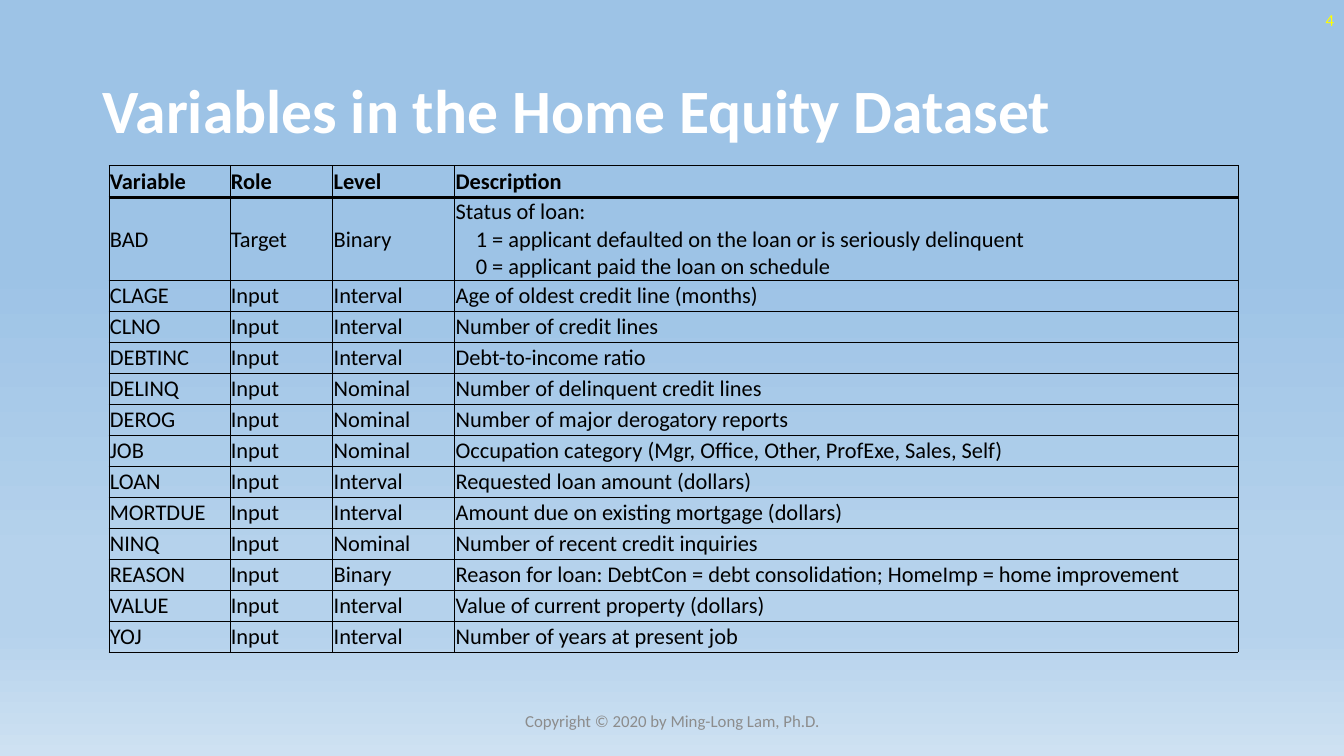
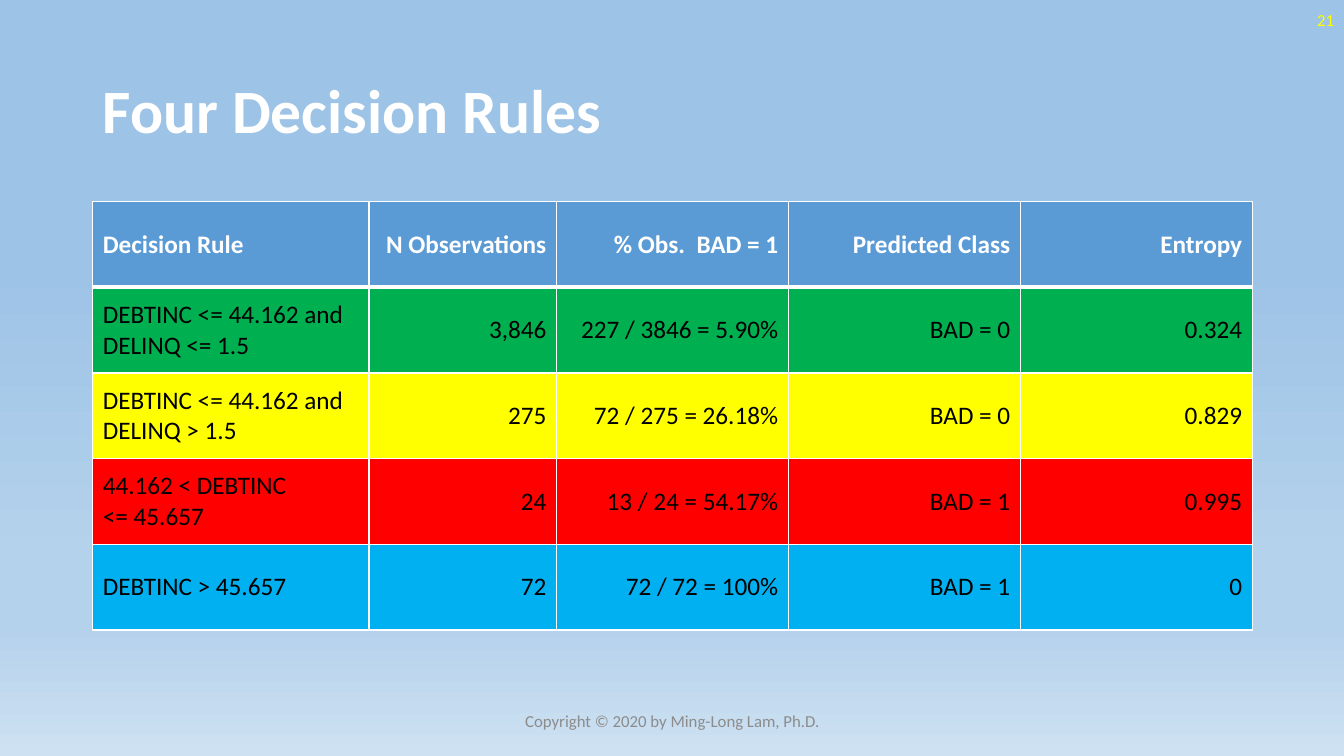
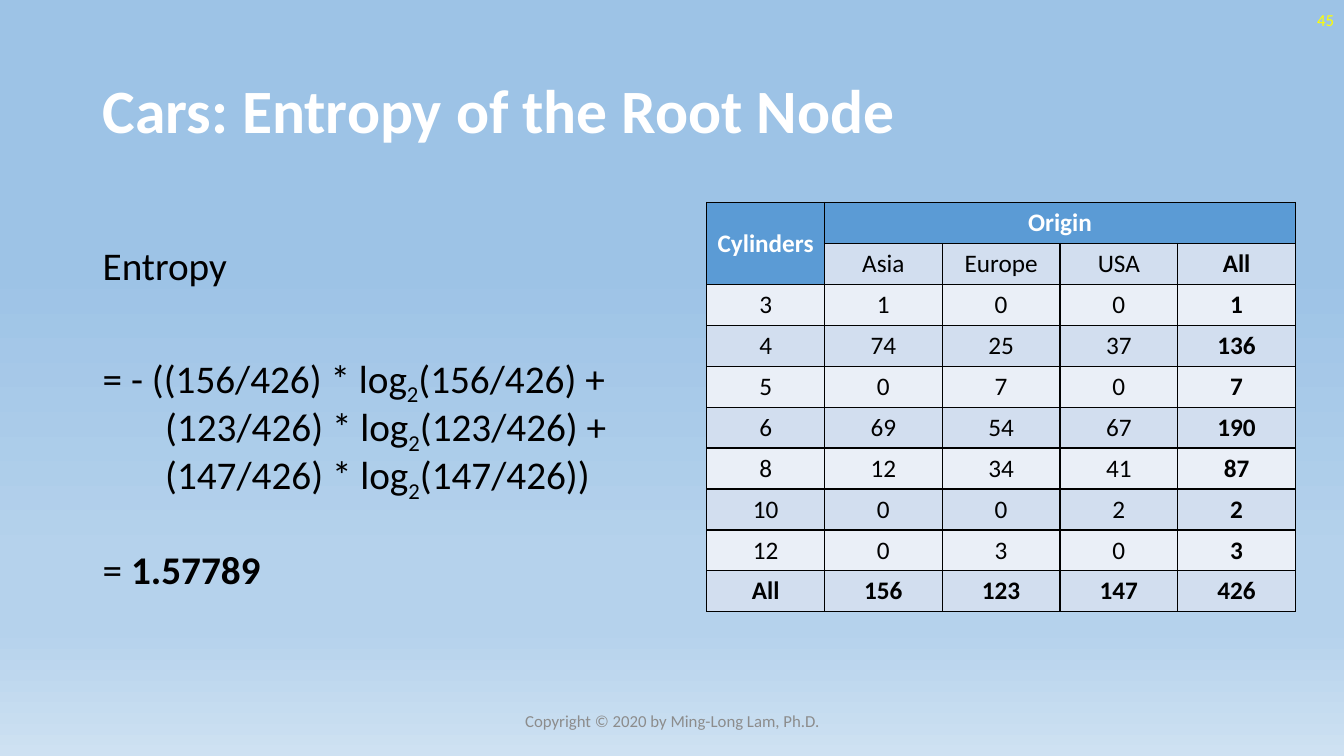
from collections import namedtuple

from lxml import etree
from pptx import Presentation
from pptx.dml.color import RGBColor
from pptx.enum import text
from pptx.oxml.ns import qn
from pptx.util import Inches, Pt

WHITE = RGBColor(0xFF, 0xFF, 0xFF)
BLACK = RGBColor(0x00, 0x00, 0x00)
GREY = RGBColor(0x8C, 0x8C, 0x8C)
YELLOW = RGBColor(0xFF, 0xFF, 0x00)
GREEN = RGBColor(0x00, 0xB0, 0x50)
RED = RGBColor(0xFF, 0x00, 0x00)
SKY = RGBColor(0x00, 0xB0, 0xF0)
BLUE = RGBColor(0x5B, 0x9B, 0xD5)
BAND_DARK = RGBColor(0xD2, 0xDE, 0xEF)
BAND_LIGHT = RGBColor(0xEA, 0xEF, 0xF7)
BACKGROUND = [
    (35, RGBColor(0x9D, 0xC3, 0xE6)),
    (74, RGBColor(0xB5, 0xD2, 0xEC)),
    (83, RGBColor(0xB5, 0xD2, 0xEC)),
    (100, RGBColor(0xCE, 0xE1, 0xF2)),
]

FONT = "Calibri"
LEFT, CENTER, RIGHT = text.PP_ALIGN.LEFT, text.PP_ALIGN.CENTER, text.PP_ALIGN.RIGHT
MIDDLE = text.MSO_ANCHOR.MIDDLE
COPYRIGHT = "Copyright © 2020 by Ming-Long Lam, Ph.D."

Box = namedtuple("Box", "left top width height")
Look = namedtuple("Look", "size color bold align", defaults=(False, LEFT))
Grid = namedtuple("Grid", "widths heights line_color line_width header_line insets")

TITLE_BOX = Box(0.92, 0.4, 11.5, 1.45)
FOOTER_BOX = Box(4.42, 6.95, 4.5, 0.4)
NUMBER_BOX = Box(10.33, 0, 3, 0.4)
TITLE_LOOK = Look(44, WHITE, True)
FOOTER_LOOK = Look(12, GREY, align=CENTER)
NUMBER_LOOK = Look(12, YELLOW, align=RIGHT)

VARIABLES = [
    ("Variable", "Role", "Level", "Description"),
    ("BAD", "Target", "Binary",
     "Status of loan:\n"
     "1 = applicant defaulted on the loan or is seriously delinquent\n"
     "0 = applicant paid the loan on schedule"),
    ("CLAGE", "Input", "Interval", "Age of oldest credit line (months)"),
    ("CLNO", "Input", "Interval", "Number of credit lines"),
    ("DEBTINC", "Input", "Interval", "Debt-to-income ratio"),
    ("DELINQ", "Input", "Nominal", "Number of delinquent credit lines"),
    ("DEROG", "Input", "Nominal", "Number of major derogatory reports"),
    ("JOB", "Input", "Nominal",
     "Occupation category (Mgr, Office, Other, ProfExe, Sales, Self)"),
    ("LOAN", "Input", "Interval", "Requested loan amount (dollars)"),
    ("MORTDUE", "Input", "Interval", "Amount due on existing mortgage (dollars)"),
    ("NINQ", "Input", "Nominal", "Number of recent credit inquiries"),
    ("REASON", "Input", "Binary",
     "Reason for loan: DebtCon = debt consolidation; HomeImp = home improvement"),
    ("VALUE", "Input", "Interval", "Value of current property (dollars)"),
    ("YOJ", "Input", "Interval", "Number of years at present job"),
]

RULES = [
    ("Decision Rule", "N Observations", "% Obs.  BAD = 1", "Predicted Class", "Entropy"),
    ("DEBTINC <= 44.162 and DELINQ <= 1.5", "3,846", "227 / 3846 = 5.90%",
     "BAD = 0", "0.324"),
    ("DEBTINC <= 44.162 and DELINQ > 1.5", "275", "72 / 275 = 26.18%",
     "BAD = 0", "0.829"),
    ("44.162 < DEBTINC\n<= 45.657", "24", "13 / 24 = 54.17%", "BAD = 1", "0.995"),
    ("DEBTINC > 45.657", "72", "72 / 72 = 100%", "BAD = 1", "0"),
]
RULE_FILLS = [BLUE, GREEN, YELLOW, RED, SKY]

CARS = [
    ("Cylinders", "Origin", "", "", ""),
    ("", "Asia", "Europe", "USA", "All"),
    ("3", "1", "0", "0", "1"),
    ("4", "74", "25", "37", "136"),
    ("5", "0", "7", "0", "7"),
    ("6", "69", "54", "67", "190"),
    ("8", "12", "34", "41", "87"),
    ("10", "0", "0", "2", "2"),
    ("12", "0", "3", "0", "3"),
    ("All", "156", "123", "147", "426"),
]

Step = namedtuple("Step", "before indent spans")
LOG_BASE = ("2", {"baseline": "-25000"})
ENTROPY_STEPS = [
    Step(0, 0, [("Entropy", {})]),
    Step(47, 0, [("= - ((156/426) * log", {}), LOG_BASE, ("(156/426) +", {})]),
    Step(0, 0.62, [("(123/426) * log", {}), LOG_BASE, ("(123/426) +", {})]),
    Step(0, 0.62, [("(147/426) * log", {}), LOG_BASE, ("(147/426))", {})]),
    Step(37, 0, [("= ", {}), ("1.57789", {"b": "1"})]),
]


def style_font(font, look):
    """Apply a look to a font."""
    values = {"name": FONT, "size": Pt(look.size), "bold": look.bold}
    for name, value in values.items():
        setattr(font, name, value)
    font.color.rgb = look.color


def write(frame, words, look, hanging=0):
    """Write lines as paragraphs, indenting those after the first."""
    for index, line in enumerate(words.split("\n")):
        para = frame.add_paragraph() if index else frame.paragraphs[0]
        para.alignment = look.align
        if index and hanging:
            para._p.get_or_add_pPr().set("marL", str(Inches(hanging)))
        span = para.add_run()
        span.text = line
        style_font(span.font, look)


def add_frame(page, box):
    """Add a wrapping, vertically centred text box and return its frame."""
    frame = page.shapes.add_textbox(*map(Inches, box)).text_frame
    frame.word_wrap = True
    frame.vertical_anchor = MIDDLE
    return frame


def paint_background(page):
    """Fill the page with the shared vertical gradient."""
    fill = page.background.fill
    fill.gradient()
    fill.gradient_angle = 270
    stops = page.element.find(".//" + qn("a:gsLst"))
    stops.clear()
    for position, color in BACKGROUND:
        stop = etree.SubElement(stops, qn("a:gs"), pos=str(position * 1000))
        etree.SubElement(stop, qn("a:srgbClr"), val=str(color))


def add_page(deck, title, number):
    """Add a page with background, title, footer and page number."""
    page = deck.slides.add_slide(deck.slide_layouts[6])
    paint_background(page)
    heading = add_frame(page, TITLE_BOX)
    write(heading, title, TITLE_LOOK)
    heading.paragraphs[0].line_spacing = 0.9
    write(add_frame(page, FOOTER_BOX), COPYRIGHT, FOOTER_LOOK)
    write(add_frame(page, NUMBER_BOX), str(number), NUMBER_LOOK)
    return page


def draw_borders(cell, color, widths):
    """Draw the four cell borders with widths by side."""
    properties = cell._tc.get_or_add_tcPr()
    for side in "LRTB":
        line = etree.SubElement(properties, qn("a:ln" + side), w=str(Pt(widths[side])))
        solid = etree.SubElement(line, qn("a:solidFill"))
        etree.SubElement(solid, qn("a:srgbClr"), val=str(color))


def add_grid(page, box, rows, grid, look_of, fill_of, hanging=0):
    """Add a table whose looks and fills follow from row and column."""
    table = page.shapes.add_table(len(rows), len(rows[0]), *map(Inches, box)).table
    table.first_row = table.horz_banding = False
    for column, width in zip(table.columns, grid.widths):
        column.width = Inches(width)
    for row, height in zip(table.rows, grid.heights):
        row.height = Inches(height)
    for r, row in enumerate(rows):
        widths = dict.fromkeys("LRTB", grid.line_width)
        if r < 2:
            widths["T" if r else "B"] = grid.header_line
        for c, words in enumerate(row):
            cell = table.cell(r, c)
            cell.vertical_anchor = MIDDLE
            for side, inset in zip(("left", "top", "right", "bottom"), grid.insets):
                setattr(cell, "margin_" + side, Inches(inset))
            draw_borders(cell, grid.line_color, widths)
            color = fill_of(r, c)
            if color is None:
                cell.fill.background()
            else:
                cell.fill.solid()
                cell.fill.fore_color.rgb = color
            if words:
                write(cell.text_frame, words, look_of(r, c), hanging)
    return table


def add_variable_table(page, box):
    """Add the unfilled table of variables."""
    header, status = 0.32, 0.82
    count = len(VARIABLES) - 2
    plain = (box.height - header - status) / count
    grid = Grid([1.2, 1.02, 1.21, 7.77], [header, status] + [plain] * count,
                BLACK, 0.5, 2, (0.01, 0.01, 0.01, 0))
    add_grid(page, box, VARIABLES, grid,
             lambda r, c: Look(16, BLACK, r == 0),
             lambda r, c: None, hanging=0.2)


def add_rule_table(page, box):
    """Add the decision rules, one colour for each row."""
    heights = [box.height / len(RULES)] * len(RULES)
    grid = Grid([2.74, 1.86, 2.3, 2.3, 2.3], heights, WHITE, 1, 3,
                (0.1, 0.05, 0.1, 0.05))
    add_grid(page, box, RULES, grid,
             lambda r, c: Look(18, BLACK if r else WHITE, r == 0, RIGHT if c else LEFT),
             lambda r, c: RULE_FILLS[r])


def add_car_table(page, box):
    """Add the banded counts of cylinders by origin."""
    last_row, last_column = len(CARS) - 1, len(CARS[0]) - 1

    def is_header(r, c):
        """Tell whether a cell belongs to the blue header."""
        return r == 0 or (r == 1 and c == 0)

    def look_of(r, c):
        """Choose the text look of a cell."""
        header = is_header(r, c)
        bold = header or r == last_row or c == last_column
        return Look(18, WHITE if header else BLACK, bold, CENTER)

    def fill_of(r, c):
        """Choose the fill of a cell."""
        if is_header(r, c):
            return BLUE
        return BAND_DARK if r % 2 else BAND_LIGHT

    grid = Grid([box.width / len(CARS[0])] * len(CARS[0]),
                [box.height / len(CARS)] * len(CARS),
                BLACK, 1, 1, (0.1, 0.05, 0.1, 0.05))
    table = add_grid(page, box, CARS, grid, look_of, fill_of)
    table.cell(0, 0).merge(table.cell(1, 0))
    table.cell(0, 1).merge(table.cell(0, last_column))


def add_entropy_steps(page, box):
    """Add the entropy calculation with subscript log bases."""
    frame = add_frame(page, box)
    frame.margin_bottom = Inches(0.48)
    for index, step in enumerate(ENTROPY_STEPS):
        para = frame.add_paragraph() if index else frame.paragraphs[0]
        para.line_spacing = 0.9
        if step.before:
            para.space_before = Pt(step.before)
        para._p.get_or_add_pPr().set("marL", str(Inches(step.indent)))
        for words, marks in step.spans:
            span = para.add_run()
            span.text = words
            style_font(span.font, Look(28, BLACK))
            for name, value in marks.items():
                span._r.get_or_add_rPr().set(name, value)


def main():
    """Build and save the deck."""
    deck = Presentation()
    deck.slide_width, deck.slide_height = Inches(13.33), Inches(7.5)
    page = add_page(deck, "Variables in the Home Equity Dataset", 4)
    add_variable_table(page, Box(1.08, 1.64, 11.2, 4.83))
    page = add_page(deck, "Four Decision Rules", 21)
    add_rule_table(page, Box(0.92, 2, 11.5, 4.25))
    page = add_page(deck, "Cars: Entropy of the Root Node", 45)
    add_entropy_steps(page, Box(0.92, 2, 6.09, 4.76))
    add_car_table(page, Box(7.01, 2.01, 5.84, 4.06))
    deck.save("out.pptx")


if __name__ == "__main__":
    main()
